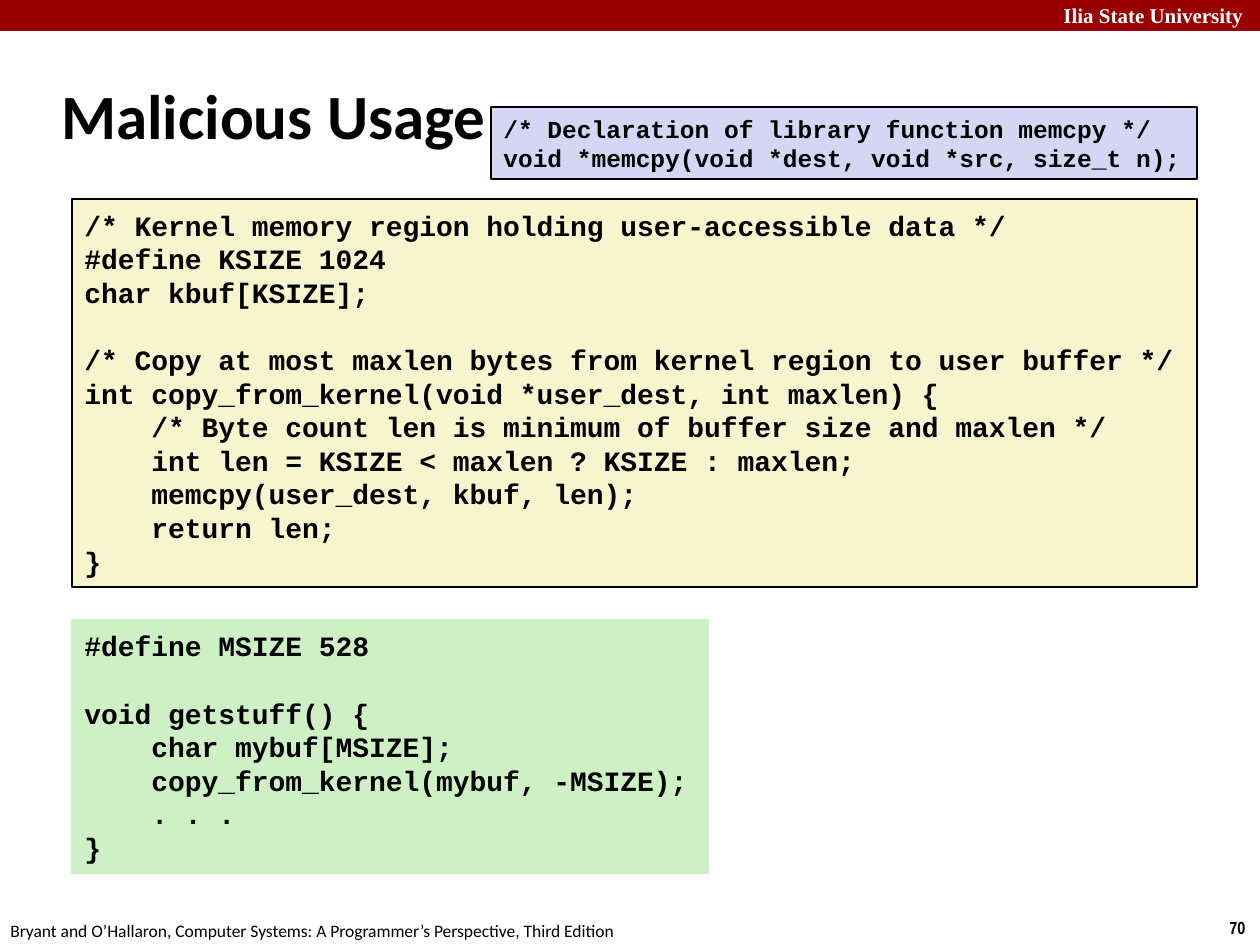
from dataclasses import dataclass

from pptx import Presentation
from pptx.dml.color import RGBColor
from pptx.enum.shapes import MSO_SHAPE
from pptx.enum.text import MSO_ANCHOR, PP_ALIGN
from pptx.util import Emu, Pt

EMU_PER_PX = 914400 / 126
LINE_PITCH = 1.2
COLOURS = {
    "black": "000000",
    "white": "FFFFFF",
    "red": "990000",
    "yellow": "F7F5CD",
    "green": "CDF1C5",
    "blue": "D5D5F4",
}

KERNEL_CODE = """/* Kernel memory region holding user-accessible data */
#define KSIZE 1024
char kbuf[KSIZE];

/* Copy at most maxlen bytes from kernel region to user buffer */
int copy_from_kernel(void *user_dest, int maxlen) {
    /* Byte count len is minimum of buffer size and maxlen */
    int len = KSIZE < maxlen ? KSIZE : maxlen;
    memcpy(user_dest, kbuf, len);
    return len;
}"""

ATTACK_CODE = """#define MSIZE 528

void getstuff() {
    char mybuf[MSIZE];
    copy_from_kernel(mybuf, -MSIZE);
    . . .
}"""

MEMCPY_CODE = """/* Declaration of library function memcpy */
void *memcpy(void *dest, void *src, size_t n);"""


@dataclass(frozen=True)
class Box:
    left: int
    top: int
    width: int
    height: int

    def emu(self) -> list[Emu]:
        return [px(n) for n in (self.left, self.top, self.width, self.height)]


@dataclass(frozen=True)
class Label:
    box: Box
    text: str
    font: str
    size: int
    colour: str = "black"
    bold: bool = True
    anchor: MSO_ANCHOR = MSO_ANCHOR.TOP


@dataclass(frozen=True)
class CodePanel:
    box: Box
    code: str
    size: int
    fill: str
    line: str


LABELS = (
    Label(Box(1051, -4, 218, 38), "Ilia State University", "Times New Roman", 12, "white"),
    Label(Box(1217, 911, 43, 34), "70", "Arial Narrow", 10),
    Label(
        Box(-2, 914, 640, 34),
        "Bryant and O’Hallaron, Computer Systems: A Programmer’s Perspective, Third Edition",
        "Calibri", 10, bold=False,
    ),
    Label(Box(49, 62, 1046, 105), "Malicious Usage", "Calibri", 36, anchor=MSO_ANCHOR.MIDDLE),
)

CODE_PANELS = (
    CodePanel(Box(72, 199, 1125, 388), KERNEL_CODE, 16, "yellow", "black"),
    CodePanel(Box(72, 620, 636, 253), ATTACK_CODE, 16, "green", "green"),
    CodePanel(Box(491, 107, 706, 72), MEMCPY_CODE, 14, "blue", "black"),
)


def px(length: int) -> Emu:
    return Emu(round(length * EMU_PER_PX))


def colour(name: str) -> RGBColor:
    return RGBColor.from_string(COLOURS[name])


def set_font(paragraph, name: str, size: int, colour_name: str, bold: bool) -> None:
    font = paragraph.font
    font.name = name
    font.size = Pt(size)
    font.bold = bold
    font.color.rgb = colour(colour_name)


def draw_rectangle(slide, box: Box, fill: str):
    shape = slide.shapes.add_shape(MSO_SHAPE.RECTANGLE, *box.emu())
    shape.shadow.inherit = False
    shape.fill.solid()
    shape.fill.fore_color.rgb = colour(fill)
    shape.line.fill.background()
    return shape


def draw_label(slide, label: Label) -> None:
    frame = slide.shapes.add_textbox(*label.box.emu()).text_frame
    frame.word_wrap = True
    frame.vertical_anchor = label.anchor
    paragraph = frame.paragraphs[0]
    paragraph.text = label.text
    set_font(paragraph, label.font, label.size, label.colour, label.bold)


def draw_code_panel(slide, panel: CodePanel) -> None:
    shape = draw_rectangle(slide, panel.box, panel.fill)
    shape.line.color.rgb = colour(panel.line)
    shape.line.width = Pt(0.75)
    frame = shape.text_frame
    frame.word_wrap = True
    frame.vertical_anchor = MSO_ANCHOR.MIDDLE
    frame.text = panel.code
    for paragraph in frame.paragraphs:
        paragraph.alignment = PP_ALIGN.LEFT
        paragraph.line_spacing = Pt(panel.size * LINE_PITCH)
        set_font(paragraph, "Courier New", panel.size, "black", True)


def main() -> None:
    """Build the slide on malicious use of a kernel copy function."""
    presentation = Presentation()
    presentation.slide_width = px(1260)
    presentation.slide_height = px(945)
    slide = presentation.slides.add_slide(presentation.slide_layouts[6])
    draw_rectangle(slide, Box(0, 0, 1260, 31), "red")
    for label in LABELS:
        draw_label(slide, label)
    for panel in CODE_PANELS:
        draw_code_panel(slide, panel)
    presentation.save("out.pptx")


if __name__ == "__main__":
    main()
